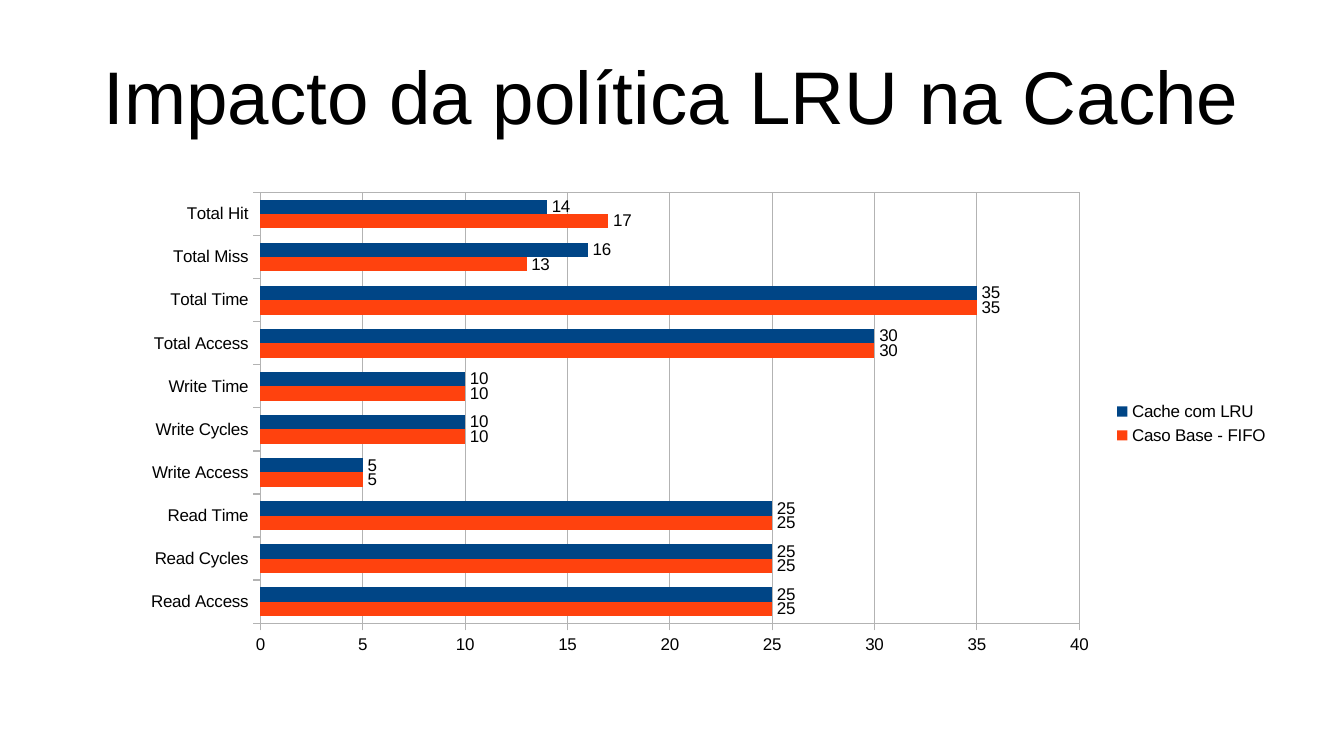
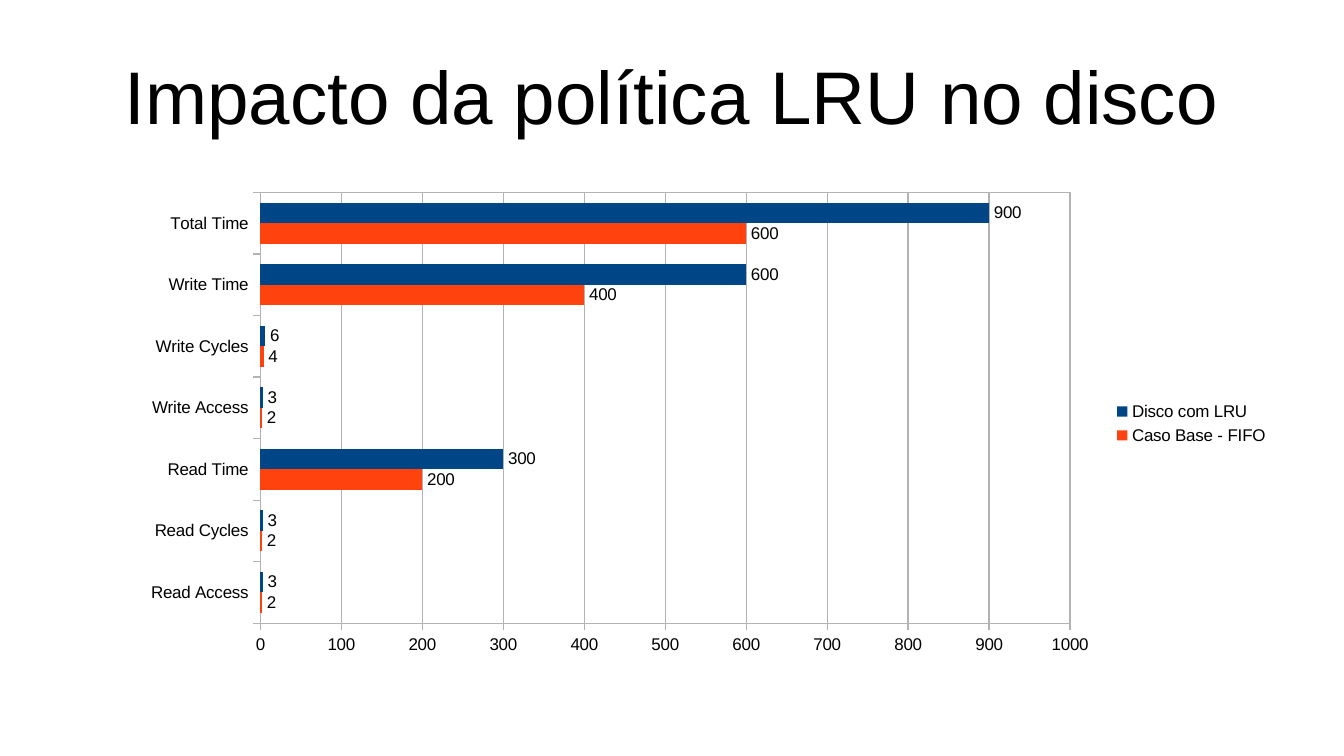
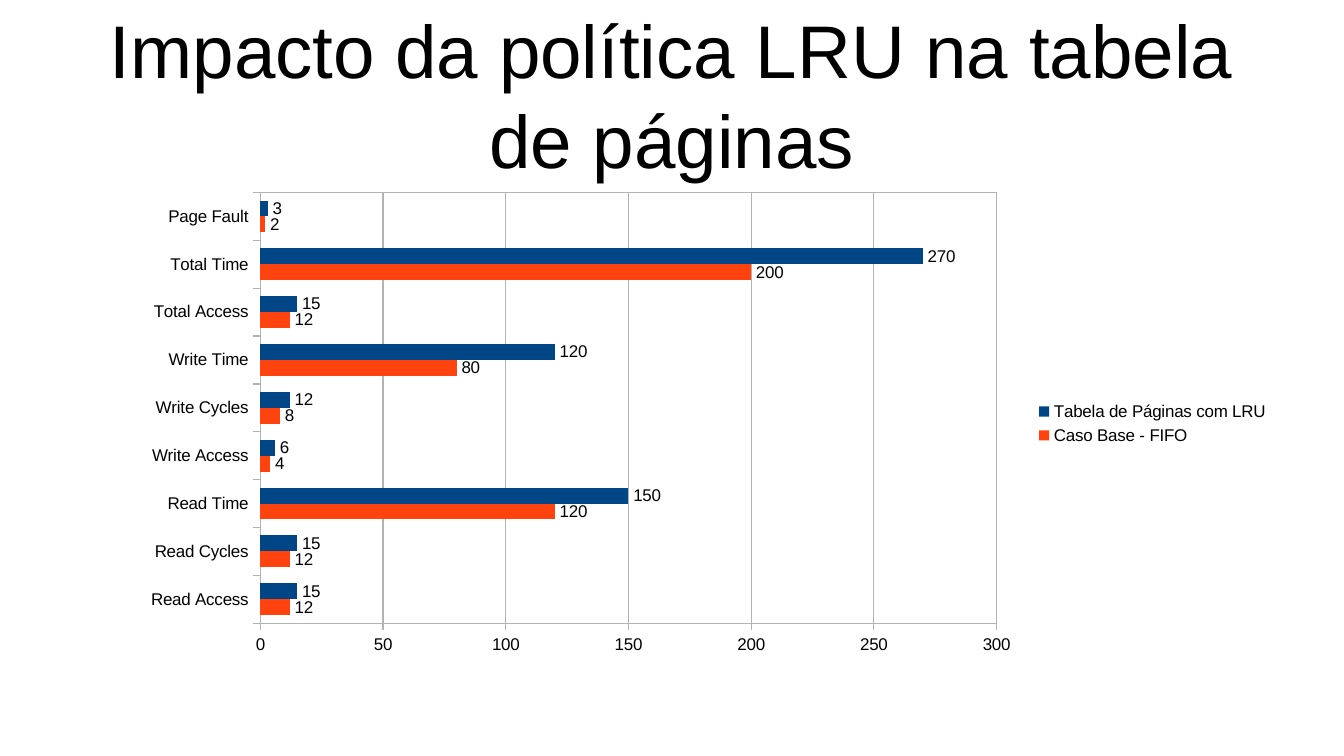
from lxml import etree
from pptx import Presentation
from pptx import util as u
from pptx.chart import data as chart_data
from pptx.dml import color
from pptx.enum import chart as ch, text
from pptx.oxml import ns

# Shared look
PX = 914400 / 122
COLORS = {"text": "000000", "lines": "B3B3B3", "fifo": "FF420E", "lru": "004586"}
FONT = "Arial"
TITLE_LEFT, TITLE_WIDTH = 67, 1210
CHART_BOX = (128, 183, 1153, 481)

# Content: bars are listed from the bottom up, as (FIFO, LRU)
SLIDES = [
    {
        "title": "Impacto da política LRU na Cache",
        "title_top": 31, "title_height": 127,
        "lru_name": "Cache com LRU",
        "results": {
            "Read Access": (25, 25), "Read Cycles": (25, 25), "Read Time": (25, 25),
            "Write Access": (5, 5), "Write Cycles": (10, 10), "Write Time": (10, 10),
            "Total Access": (30, 30), "Total Time": (35, 35),
            "Total Miss": (13, 16), "Total Hit": (17, 14),
        },
    },
    {
        "title": "Impacto da política LRU no disco",
        "title_top": 31, "title_height": 127,
        "lru_name": "Disco com LRU",
        "results": {
            "Read Access": (2, 3), "Read Cycles": (2, 3), "Read Time": (200, 300),
            "Write Access": (2, 3), "Write Cycles": (4, 6), "Write Time": (400, 600),
            "Total Time": (600, 900),
        },
    },
    {
        "title": "Impacto da política LRU na tabela de páginas",
        "title_top": 10, "title_height": 167,
        "lru_name": "Tabela de Páginas com LRU",
        "results": {
            "Read Access": (12, 15), "Read Cycles": (12, 15), "Read Time": (120, 150),
            "Write Access": (4, 6), "Write Cycles": (8, 12), "Write Time": (80, 120),
            "Total Access": (12, 15), "Total Time": (200, 270), "Page Fault": (2, 3),
        },
    },
]


def emu(*lengths):
    return [u.Emu(round(length * PX)) for length in lengths]


def style_font(font, size):
    for name, value in {"name": FONT, "size": u.Pt(size)}.items():
        setattr(font, name, value)
    font.color.rgb = color.RGBColor.from_string(COLORS["text"])


prs = Presentation()
prs.slide_width, prs.slide_height = emu(1344, 756)

for content in SLIDES:
    slide = prs.slides.add_slide(prs.slide_layouts[6])

    # Title
    title = slide.shapes.add_textbox(
        *emu(TITLE_LEFT, content["title_top"], TITLE_WIDTH, content["title_height"])
    ).text_frame
    title_format = {
        "word_wrap": True, "vertical_anchor": text.MSO_ANCHOR.MIDDLE,
        "margin_left": 0, "margin_top": 0, "margin_right": 0, "margin_bottom": 0,
    }
    for name, value in title_format.items():
        setattr(title, name, value)
    heading = title.paragraphs[0]
    heading.alignment = text.PP_ALIGN.CENTER
    run = heading.add_run()
    run.text = content["title"]
    style_font(run.font, 44)

    # Chart values
    results = chart_data.CategoryChartData()
    results.categories = list(content["results"])
    fifo, lru = zip(*content["results"].values())
    results.add_series("Caso Base - FIFO", fifo)
    results.add_series(content["lru_name"], lru)
    comparison = slide.shapes.add_chart(
        ch.XL_CHART_TYPE.BAR_CLUSTERED, *emu(*CHART_BOX), results
    ).chart
    comparison.has_title = False
    style_font(comparison.font, 10)

    # Bars and their labels
    bars = comparison.plots[0]
    bar_format = {
        "gap_width": 100, "overlap": 0,
        "vary_by_categories": False, "has_data_labels": True,
    }
    for name, value in bar_format.items():
        setattr(bars, name, value)
    for series, key in zip(bars.series, ("fifo", "lru")):
        series.format.fill.solid()
        series.format.fill.fore_color.rgb = color.RGBColor.from_string(COLORS[key])
        series.invert_if_negative = False
    bars.data_labels.show_value = True
    bars.data_labels.position = ch.XL_LABEL_POSITION.OUTSIDE_END
    style_font(bars.data_labels.font, 10)

    # Axes and grid
    category_axis, value_axis = comparison.category_axis, comparison.value_axis
    for axis in (category_axis, value_axis):
        axis.major_tick_mark = ch.XL_TICK_MARK.OUTSIDE
        axis.minor_tick_mark = ch.XL_TICK_MARK.NONE
        style_font(axis.tick_labels.font, 10)
    category_axis.has_major_gridlines = False
    value_axis.has_major_gridlines = True
    for part in (category_axis, value_axis, value_axis.major_gridlines):
        part.format.line.color.rgb = color.RGBColor.from_string(COLORS["lines"])
        part.format.line.width = 0

    # Frame around the plot area
    plot_area = comparison.element.find(".//" + ns.qn("c:plotArea"))
    frame = etree.SubElement(plot_area, ns.qn("c:spPr"))
    etree.SubElement(frame, ns.qn("a:noFill"))
    outline = etree.SubElement(frame, ns.qn("a:ln"), w="0")
    outline_fill = etree.SubElement(outline, ns.qn("a:solidFill"))
    etree.SubElement(outline_fill, ns.qn("a:srgbClr"), val=COLORS["lines"])

    # Legend
    comparison.has_legend = True
    comparison.legend.position = ch.XL_LEGEND_POSITION.RIGHT
    comparison.legend.include_in_layout = False
    style_font(comparison.legend.font, 10)

prs.save("out.pptx")
